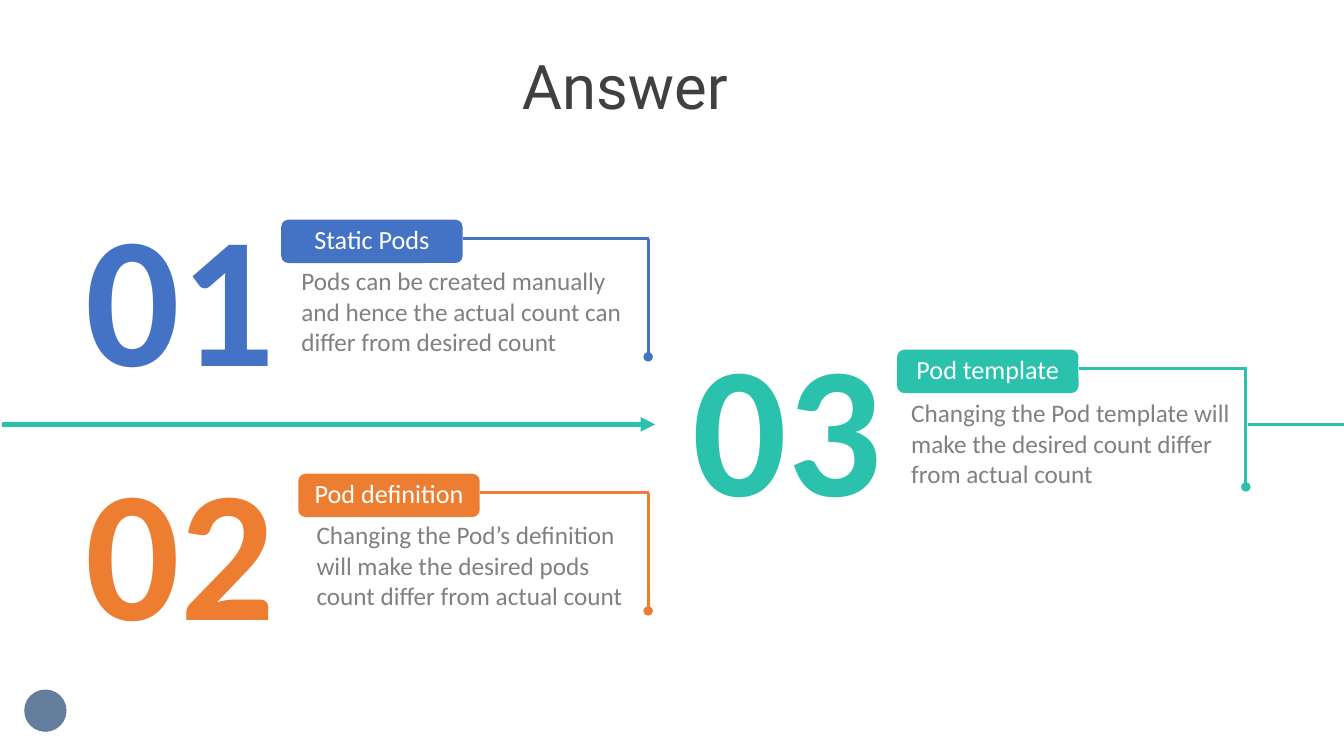
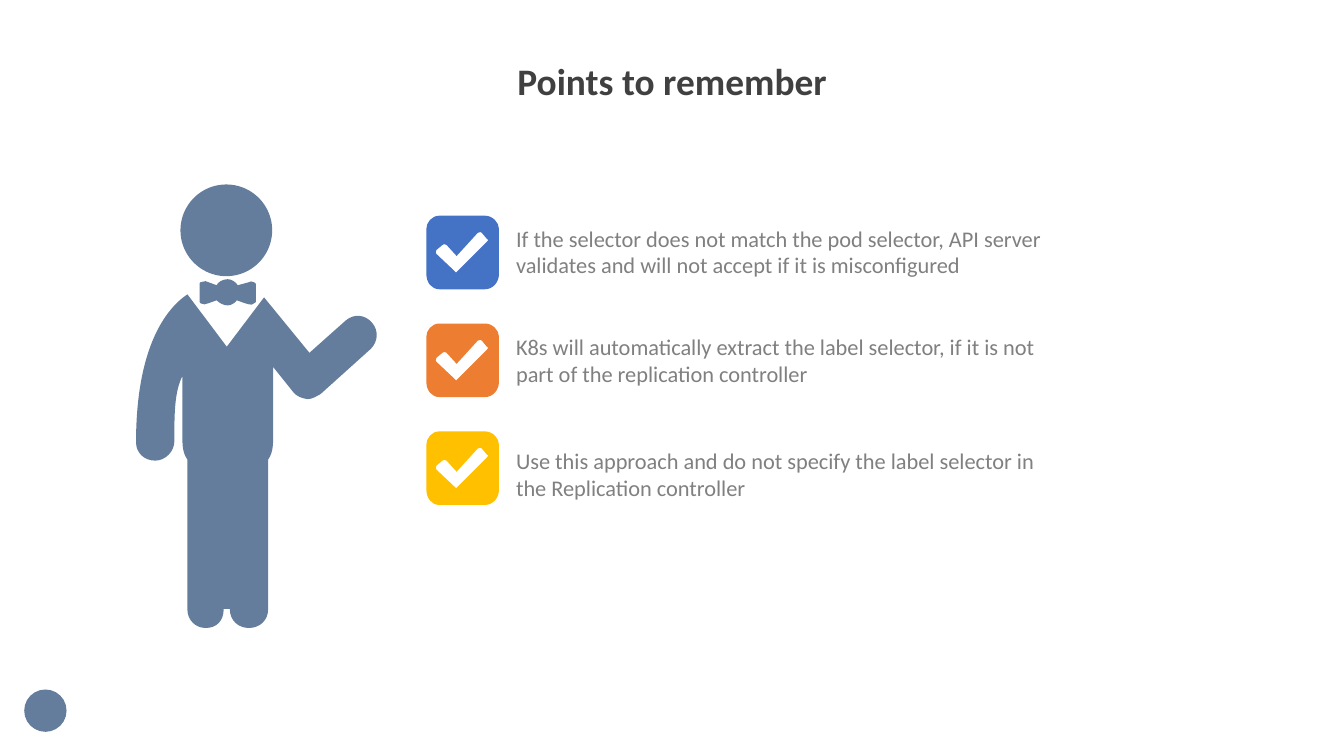
from dataclasses import dataclass

from lxml import etree
from pptx import Presentation
from pptx.dml.color import RGBColor
from pptx.enum.shapes import MSO_CONNECTOR, MSO_SHAPE
from pptx.enum.text import MSO_ANCHOR, PP_ALIGN
from pptx.oxml.ns import qn
from pptx.util import Inches, Pt

LEFT, CENTER = PP_ALIGN.LEFT, PP_ALIGN.CENTER
TOP, MIDDLE, BOTTOM = MSO_ANCHOR.TOP, MSO_ANCHOR.MIDDLE, MSO_ANCHOR.BOTTOM
OVAL, ROUNDED = MSO_SHAPE.OVAL, MSO_SHAPE.ROUNDED_RECTANGLE
STRAIGHT = MSO_CONNECTOR.STRAIGHT


@dataclass(frozen=True)
class Theme:
    blue: str = "4472C4"
    orange: str = "ED7D31"
    teal: str = "2AC2AC"
    yellow: str = "FFC000"
    slate: str = "657D9D"
    dark: str = "404040"
    gray: str = "808080"
    white: str = "FFFFFF"
    font: str = "Calibri"
    display_font: str = "Roboto"
    display_size: float = 44
    title_size: float = 26.7
    number_size: float = 133.3
    badge_size: float = 18.7
    body_size: float = 18
    point_size: float = 16
    line_width: float = 2.25
    arrow_width: float = 3.5


THEME = Theme()

STEPS = [
    {"number": "01", "label": "Static Pods", "color": THEME.blue,
     "left": 0.84, "top": 1.77, "badge_left": 2.79, "corner": 6.43,
     "body_left": 2.99, "body_top": 2.63, "body_width": 3.29,
     "body": "Pods can be created manually and hence the actual count can "
             "differ from desired count"},
    {"number": "02", "label": "Pod definition", "color": THEME.orange,
     "left": 0.84, "top": 4.29, "badge_left": 2.96, "corner": 6.43,
     "body_left": 3.14, "body_top": 5.15, "body_width": 3.05,
     "body": "Changing the Pod’s definition will make the desired pods "
             "count differ from actual count"},
    {"number": "03", "label": "Pod template", "color": THEME.teal,
     "left": 6.86, "top": 3.06, "badge_left": 8.9, "corner": 12.36,
     "body_left": 9.04, "body_top": 3.94, "body_width": 3.25,
     "body": "Changing the Pod template will make the desired count differ "
             "from actual count"},
]

POINTS = [
    (THEME.blue, 2.23, "If the selector does not match the pod selector, API "
     "server validates and will not accept if it is misconfigured"),
    (THEME.orange, 3.31, "K8s will automatically extract the label selector, "
     "if it is not part of the replication controller"),
    (THEME.yellow, 4.44, "Use this approach and do not specify the label "
     "selector in the Replication controller"),
]

TILE = [
    (0.72, 0.58), (0.72, 0.66, 0.66, 0.73, 0.58, 0.73), (0.13, 0.73),
    (0.05, 0.73, 0, 0.66, 0, 0.58), (0, 0.13),
    (0, 0.07, 0.05, 0, 0.13, 0), (0.58, 0),
    (0.66, 0, 0.72, 0.07, 0.72, 0.13),
]
CHECK_MARK = [
    (0.6, 0.26), (0.62, 0.25, 0.62, 0.23, 0.6, 0.23), (0.55, 0.17),
    (0.55, 0.16, 0.53, 0.16, 0.51, 0.17), (0.3, 0.4), (0.2, 0.29),
    (0.18, 0.28, 0.17, 0.28, 0.16, 0.29), (0.1, 0.34),
    (0.09, 0.36, 0.09, 0.37, 0.1, 0.38), (0.28, 0.55),
    (0.29, 0.57, 0.3, 0.57, 0.31, 0.55),
]
BODY = [
    (1.86, 2.92), (2.25, 3.44), (2.62, 2.95), (3.07, 3.5), (3.43, 3.18),
    (3.51, 3.11, 3.62, 3.12, 3.69, 3.2), (3.76, 3.28, 3.75, 3.39, 3.68, 3.46),
    (3.18, 3.91), (3.14, 3.93, 3.1, 3.96, 3.05, 3.96),
    (2.99, 3.95, 2.94, 3.93, 2.91, 3.89), (2.71, 3.64), (2.71, 4.33),
    (2.71, 4.41, 2.71, 4.49, 2.66, 4.56), (2.66, 6.05),
    (2.66, 6.15, 2.58, 6.23, 2.47, 6.23), (2.37, 6.23, 2.28, 6.16, 2.28, 6.04),
    (2.22, 6.04), (2.22, 6.16, 2.15, 6.23, 2.04, 6.23),
    (1.94, 6.23, 1.86, 6.15, 1.86, 6.05), (1.86, 4.56),
    (1.81, 4.49, 1.81, 4.41, 1.81, 4.33), (1.81, 3.73),
    (1.73, 3.89, 1.73, 4.11, 1.73, 4.38), (1.73, 4.48, 1.64, 4.57, 1.54, 4.57),
    (1.43, 4.57, 1.35, 4.49, 1.35, 4.39), (1.35, 3.44, 1.65, 3.06, 1.86, 2.92),
]
BOW_TIE = [
    (2.04, 2.79), (2.15, 2.83), (2.16, 2.8, 2.21, 2.77, 2.26, 2.77),
    (2.3, 2.77, 2.34, 2.8, 2.36, 2.83), (2.47, 2.8),
    (2.48, 2.79, 2.5, 2.79, 2.52, 2.8), (2.54, 2.8, 2.54, 2.82, 2.54, 2.84),
    (2.54, 2.98), (2.54, 2.99, 2.54, 3.01, 2.52, 3.01),
    (2.51, 3.02, 2.49, 3.03, 2.47, 3.02), (2.43, 3.01, 2.38, 2.99, 2.35, 2.98),
    (2.33, 3.01, 2.29, 3.03, 2.26, 3.03), (2.22, 3.03, 2.18, 3.01, 2.15, 2.98),
    (2.12, 2.99, 2.07, 3.01, 2.03, 3.02), (2.01, 3.02, 2.01, 3.02, 1.99, 3.01),
    (1.98, 3.01, 1.98, 2.99, 1.98, 2.97), (1.98, 2.83),
    (1.98, 2.82, 1.98, 2.8, 1.99, 2.8), (2.01, 2.79, 2.02, 2.79, 2.04, 2.79),
]


def write(shape, text, *, size, color=THEME.gray, font=THEME.font, bold=False,
          align=LEFT, anchor=TOP, wrap=True, spacing=1.0, bottom=0):
    frame = shape.text_frame
    frame.word_wrap = wrap
    frame.vertical_anchor = anchor
    frame.margin_left = frame.margin_right = frame.margin_top = 0
    frame.margin_bottom = Inches(bottom)
    para = frame.paragraphs[0]
    para.alignment = align
    para.line_spacing = spacing
    span = para.add_run()
    span.text = text
    span.font.size = Pt(size)
    span.font.name = font
    span.font.bold = bold
    span.font.color.rgb = RGBColor.from_string(color)


def add_text(page, left, top, width, height, text, **style):
    box = page.shapes.add_textbox(*map(Inches, (left, top, width, height)))
    write(box, text, **style)


def paint(shape, color):
    shape.shadow.inherit = False
    shape.fill.solid()
    shape.fill.fore_color.rgb = RGBColor.from_string(color)
    shape.line.fill.background()


def add_block(page, kind, left, top, width, height, color):
    block = page.shapes.add_shape(kind, *map(Inches, (left, top, width, height)))
    paint(block, color)
    return block


def add_line(page, start, end, color, width=THEME.line_width, tip=None):
    line = page.shapes.add_connector(STRAIGHT, *map(Inches, (*start, *end)))
    line.line.color.rgb = RGBColor.from_string(color)
    line.line.width = Pt(width)
    properties = line._element.spPr
    if tip:
        etree.SubElement(properties.find(qn("a:ln")), qn("a:tailEnd"), type=tip)
    etree.SubElement(properties, qn("a:effectLst"))


def bend(segment, part, left, top):
    curve = etree.Element(qn("a:cubicBezTo"))
    for x, y in zip(part[::2], part[1::2]):
        etree.SubElement(curve, qn("a:pt"), x=str(Inches(x) - left),
                         y=str(Inches(y) - top))
    segment.getparent().replace(segment, curve)


def add_outline(page, outlines, color, left=0, top=0):
    builder = page.shapes.build_freeform(*map(Inches, outlines[0][0]), scale=1.0)
    for index, outline in enumerate(outlines):
        ends = [tuple(map(Inches, part[-2:])) for part in outline]
        if index:
            builder.move_to(*ends[0])
        builder.add_line_segments(ends[1:], close=True)
    shape = builder.convert_to_shape(Inches(left), Inches(top))
    origin = shape.left - Inches(left), shape.top - Inches(top)
    segments = list(shape._element.iter(qn("a:lnTo")))
    parts = [part for outline in outlines for part in outline[1:]]
    for segment, part in zip(segments, parts):
        if len(part) == 6:
            bend(segment, part, *origin)
    paint(shape, color)


def add_page(deck, title, title_left, title_top, **style):
    page = deck.slides.add_slide(deck.slide_layouts[6])
    add_block(page, OVAL, 0.24, 6.84, 0.42, 0.42, THEME.slate)
    add_text(page, title_left, title_top, 8.22, 0.52, title, color=THEME.dark,
             align=CENTER, anchor=MIDDLE, wrap=False, spacing=0.9, **style)
    return page


def add_step(page, step):
    color, top, corner = step["color"], step["top"], step["corner"]
    badge_left, badge_top = step["badge_left"], top + 0.41
    line_top = badge_top + 0.19
    add_line(page, (badge_left + 1.8, line_top), (corner + 0.01, line_top), color)
    add_line(page, (corner, line_top), (corner, line_top + 1.17), color, tip="oval")
    badge = add_block(page, ROUNDED, badge_left, badge_top, 1.8, 0.43, color)
    write(badge, step["label"], size=THEME.badge_size, color=THEME.white,
          align=CENTER, anchor=MIDDLE, wrap=False, bottom=0.05)
    add_text(page, step["body_left"], step["body_top"], step["body_width"], 0.91,
             step["body"], size=THEME.body_size, anchor=MIDDLE)
    add_text(page, step["left"], top, 1.9, 2.24, step["number"],
             size=THEME.number_size, color=color, bold=True, align=CENTER,
             anchor=BOTTOM, wrap=False)


def add_answer(deck):
    page = add_page(deck, "Answer", 2.09, 0.63, size=THEME.display_size,
                    font=THEME.display_font)
    for step in STEPS:
        add_step(page, step)
    add_line(page, (0.02, 4.21), (6.5, 4.21), THEME.teal, THEME.arrow_width,
             "triangle")
    add_line(page, (12.38, 4.21), (13.33, 4.21), THEME.teal)


def add_presenter(page):
    add_block(page, OVAL, 1.79, 1.83, 0.91, 0.91, THEME.slate)
    for outline in (BODY, BOW_TIE):
        add_outline(page, [outline], THEME.slate)


def add_points(deck):
    page = add_page(deck, "Points to remember", 2.56, 0.57,
                    size=THEME.title_size, bold=True)
    for row, (color, text_top, text) in enumerate(POINTS):
        add_outline(page, [TILE, CHECK_MARK], color, 4.23, 2.14 + row * 1.07)
        add_text(page, 5.12, text_top, 5.36, 0.54, text, size=THEME.point_size)
    add_presenter(page)


def main():
    deck = Presentation()
    deck.slide_width, deck.slide_height = Inches(40 / 3), Inches(7.5)
    add_answer(deck)
    add_points(deck)
    deck.save("out.pptx")


main()
